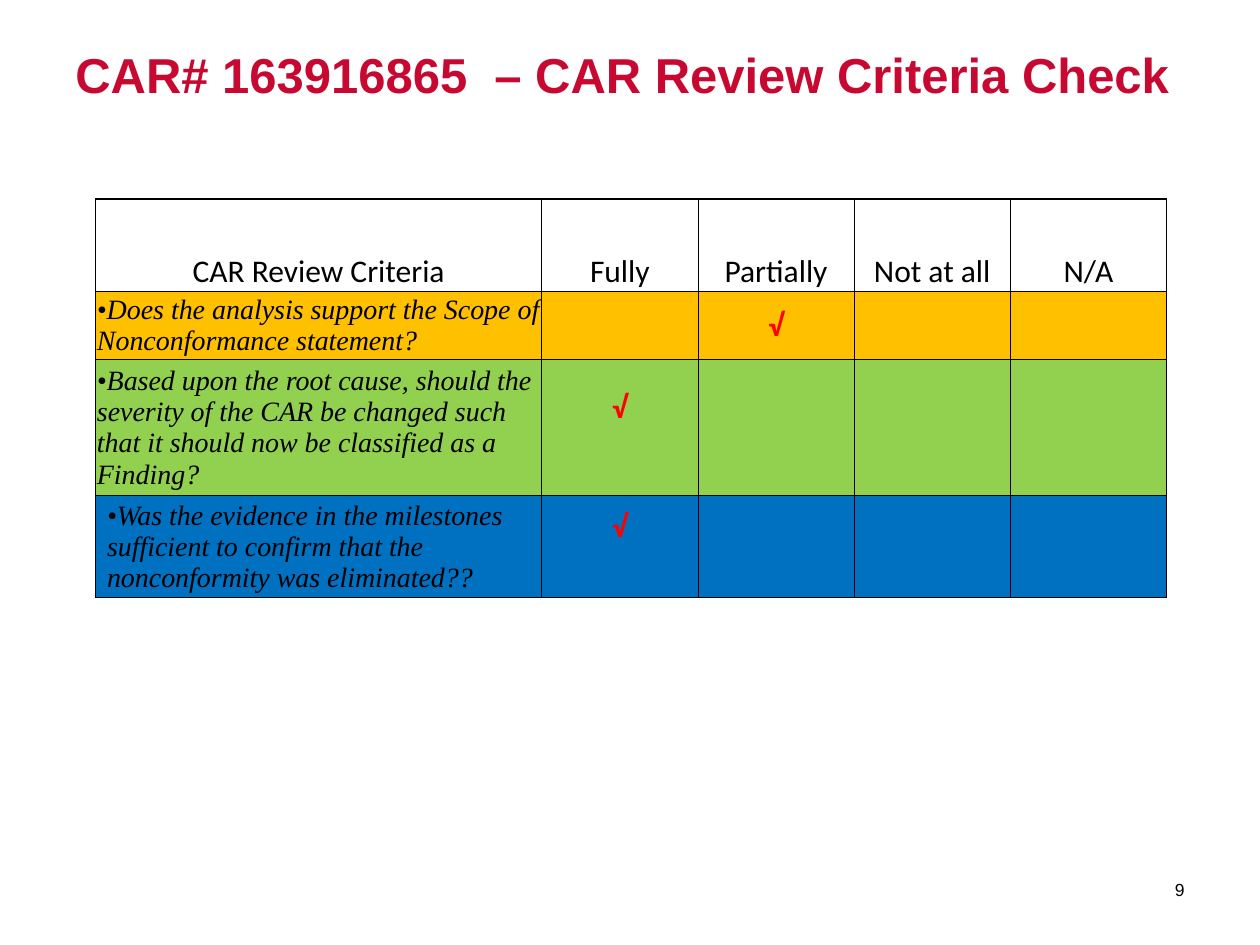
from pptx import Presentation
from pptx import util as u
from pptx.dml.color import RGBColor
from pptx.enum import text as t
from pptx.oxml import parse_xml
from pptx.oxml.ns import nsdecls

# Colours and type: font, size, colour, bold, italic
theme = {
    "title": ("Arial", 28, "C70932", True, False),
    "page": ("Arial", 10, "000000", False, False),
    "head": ("Calibri", 18, "000000", False, False),
    "ask": ("Times New Roman", 16, "000000", False, True),
    "tick": ("Calibri", 18, "FF0000", True, False),
    "amber": "FFC000",
    "green": "92D050",
    "blue": "0070C0",
    "line": "000000",
}


def write(frame, words, style, align):
    para = frame.paragraphs[0]
    para.alignment = align
    run = para.add_run()
    run.text = words
    font = run.font
    font.name, size, tint, font.bold, font.italic = theme[style]
    font.size = u.Pt(size)
    font.color.rgb = RGBColor.from_string(tint)


def border(cell, side, width):
    cell._tc.get_or_add_tcPr().append(parse_xml(
        f'<a:ln{side} {nsdecls("a")} w="{u.Pt(width)}"><a:solidFill>'
        f'<a:srgbClr val="{theme["line"]}"/></a:solidFill></a:ln{side}>'))


deck = Presentation()
deck.slide_width, deck.slide_height = u.Inches(10), u.Inches(7.5)
slide = deck.slides.add_slide(deck.slide_layouts[6])
left, mid, right = t.PP_ALIGN.LEFT, t.PP_ALIGN.CENTER, t.PP_ALIGN.RIGHT
top, center, base = (t.MSO_ANCHOR.TOP, t.MSO_ANCHOR.MIDDLE,
                     t.MSO_ANCHOR.BOTTOM)

# Title and page number
for words, style, align, anchor, area in (
    ("CAR# 163916865  – CAR Review Criteria Check", "title", left, top,
     (0.5, 0.3, 9, 1.25)),
    ("9", "page", right, center, (8.8, 6.86, 0.7, 0.4)),
):
    box = slide.shapes.add_textbox(*map(u.Inches, area))
    box.text_frame.word_wrap = True
    box.text_frame.vertical_anchor = anchor
    write(box.text_frame, words, style, align)

# Criteria: question, tick column, fill, left inset, space under the tick
heads = ["CAR Review Criteria", "Fully", "Partially", "Not at all", "N/A"]
asks = [
    ("•Does the analysis support the Scope of Nonconformance statement?",
     2, "amber", 0.01, 0),
    ("•Based upon the root cause, should the severity of the CAR be changed "
     "such that it should now be classified as a Finding?",
     1, "green", 0.01, 0.32),
    ("•Was the evidence in the milestones sufficient to confirm that the "
     "nonconformity was eliminated??", 1, "blue", 0.09, 0.32),
]
wide = [3.54] + [1.24] * 4
tall = [0.73, 0.5, 1, 0.75]

# Table grid
grid = slide.shapes.add_table(
    len(tall), len(wide), u.Inches(0.76), u.Inches(1.58),
    u.Inches(sum(wide)), u.Inches(sum(tall))).table
grid.first_row = grid.horz_banding = False
for col, size in zip(grid.columns, wide):
    col.width = u.Inches(size)
for row, size in zip(grid.rows, tall):
    row.height = u.Inches(size)

# Cell borders, fills and text
for r in range(len(tall)):
    for c in range(len(wide)):
        cell = grid.cell(r, c)
        border(cell, "L", 1 if c == 0 else 0.5)
        border(cell, "R", 1 if c == len(wide) - 1 else 0.5)
        border(cell, "T", 1 if r == 0 else 0.5)
        border(cell, "B", 0.5)
        cell.margin_left = cell.margin_right = u.Inches(0.01)
        cell.margin_top, cell.margin_bottom = u.Inches(0.01), 0
        cell.vertical_anchor = center
        if r == 0:
            cell.fill.background()
            cell.vertical_anchor = base
            write(cell.text_frame, heads[c], "head", mid)
            continue
        ask, tick, tint, inset, under = asks[r - 1]
        cell.fill.solid()
        cell.fill.fore_color.rgb = RGBColor.from_string(theme[tint])
        if c == 0:
            cell.margin_left = u.Inches(inset)
            write(cell.text_frame, ask, "ask", left)
        elif c == tick:
            cell.margin_bottom = u.Inches(under)
            write(cell.text_frame, "√", "tick", mid)

deck.save("out.pptx")
